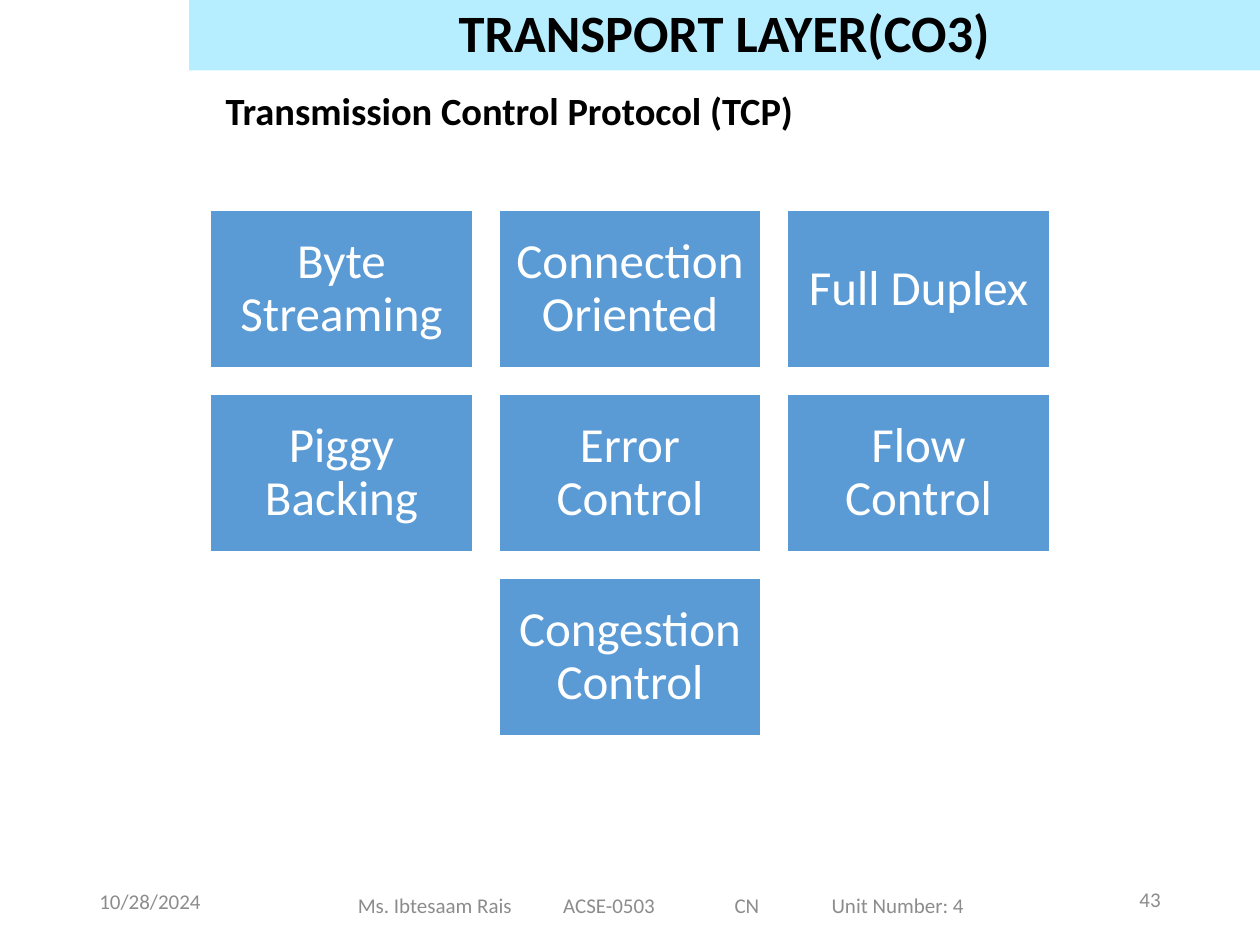
from dataclasses import dataclass

from lxml.etree import SubElement
from pptx import Presentation
from pptx.dml.color import RGBColor
from pptx.enum.shapes import MSO_SHAPE as Shape
from pptx.enum.text import MSO_ANCHOR as Anchor, MSO_AUTO_SIZE as AutoSize, PP_ALIGN as Align
from pptx.oxml.ns import qn
from pptx.util import Inches, Pt


@dataclass(frozen=True)
class Theme:
    font: str = "Calibri"
    black: RGBColor = RGBColor(0x00, 0x00, 0x00)
    white: RGBColor = RGBColor(0xFF, 0xFF, 0xFF)
    grey: RGBColor = RGBColor(0x8C, 0x8C, 0x8C)
    banner: RGBColor = RGBColor(0xB7, 0xEE, 0xFF)
    tile: RGBColor = RGBColor(0x5B, 0x9B, 0xD5)
    title_size: Pt = Pt(30)
    heading_size: Pt = Pt(22)
    tile_size: Pt = Pt(28)
    footer_size: Pt = Pt(12)


THEME = Theme()
FEATURES = [
    "Byte Streaming", "Connection Oriented", "Full Duplex",
    "Piggy Backing", "Error Control", "Flow Control",
    "Congestion Control",
]


def write(shape, text, size, color, bold=False, align=Align.LEFT,
          spacing=None, tabs=(), **frame_format):
    """Put one formatted paragraph into a shape."""
    frame = shape.text_frame
    frame_format = {"word_wrap": True, "auto_size": AutoSize.NONE, **frame_format}
    for name, value in frame_format.items():
        setattr(frame, name, value)
    paragraph = frame.paragraphs[0]
    paragraph.alignment = align
    if spacing:
        paragraph.line_spacing = spacing
    if tabs:
        tab_list = SubElement(paragraph._p.get_or_add_pPr(), qn("a:tabLst"))
        for position in tabs:
            SubElement(tab_list, qn("a:tab"), pos=str(Inches(position)), algn="l")
    run = paragraph.add_run()
    run.text = text
    font_format = {"name": THEME.font, "size": size, "bold": bold}
    for name, value in font_format.items():
        setattr(run.font, name, value)
    run.font.color.rgb = color


def add_banner(slide, left, top, width, height):
    title = slide.shapes.title
    title.left, title.top, title.width, title.height = map(Inches, (left, top, width, height))
    title.fill.solid()
    title.fill.fore_color.rgb = THEME.banner
    write(title, "TRANSPORT LAYER(CO3)", THEME.title_size, THEME.black, bold=True,
          align=Align.CENTER, spacing=0.9, vertical_anchor=Anchor.BOTTOM)


def add_heading(slide, left, top, width, height):
    heading = slide.shapes.add_textbox(*map(Inches, (left, top, width, height)))
    write(heading, "Transmission Control Protocol (TCP)", THEME.heading_size,
          THEME.black, bold=True, spacing=Pt(30.2),
          margin_left=0, margin_right=0, margin_top=0, margin_bottom=0)


def add_feature_grid(slide, left, top, width, columns=3, gap=0.21, tile_height=1.25):
    """Lay out the features in rows, centring a row that is not full."""
    tile_width = (width - gap * (columns - 1)) / columns
    inset = Inches(0.12)
    for start in range(0, len(FEATURES), columns):
        row = FEATURES[start:start + columns]
        row_width = len(row) * (tile_width + gap) - gap
        row_left = left + (width - row_width) / 2
        row_top = top + start // columns * (tile_height + gap)
        for column, feature in enumerate(row):
            tile_left = row_left + column * (tile_width + gap)
            tile = slide.shapes.add_shape(
                Shape.RECTANGLE,
                *map(Inches, (tile_left, row_top, tile_width, tile_height)))
            tile.shadow.inherit = False
            tile.fill.solid()
            tile.fill.fore_color.rgb = THEME.tile
            tile.line.color.rgb = THEME.white
            tile.line.width = Pt(1)
            write(tile, feature, THEME.tile_size, THEME.white, align=Align.CENTER,
                  spacing=0.9, vertical_anchor=Anchor.MIDDLE,
                  margin_left=inset, margin_right=inset,
                  margin_top=inset, margin_bottom=inset)


def add_footer(slide, left, top, width, height):
    # Each part: text, offset from the footer box, width, formatting
    course = "Ms. Ibtesaam Rais\tACSE-0503\tCN\tUnit Number: 4"
    parts = [
        ("10/28/2024", 0, 0.01, 1.13, {}),
        (course, 1.81, 0.04, 5.5,
         {"tabs": (1.63, 2.99, 3.76), "margin_left": Inches(0.34)}),
        ("43", width - 0.62, 0, 0.62, {"align": Align.RIGHT}),
    ]
    for text, offset_x, offset_y, part_width, text_format in parts:
        box = slide.shapes.add_textbox(
            *map(Inches, (left + offset_x, top + offset_y, part_width, height)))
        write(box, text, THEME.footer_size, THEME.grey,
              vertical_anchor=Anchor.MIDDLE, **text_format)


def main():
    deck = Presentation()
    deck.slide_width, deck.slide_height = Inches(10), Inches(7.5)
    slide = deck.slides.add_slide(deck.slide_layouts[5])
    add_banner(slide, 1.5, 0, 8.5, 0.56)
    add_heading(slide, 1.79, 0.64, 7.72, 0.5)
    add_feature_grid(slide, 1.67, 1.67, 6.66)
    add_footer(slide, 0.69, 6.94, 8.62, 0.4)
    deck.save("out.pptx")


if __name__ == "__main__":
    main()
